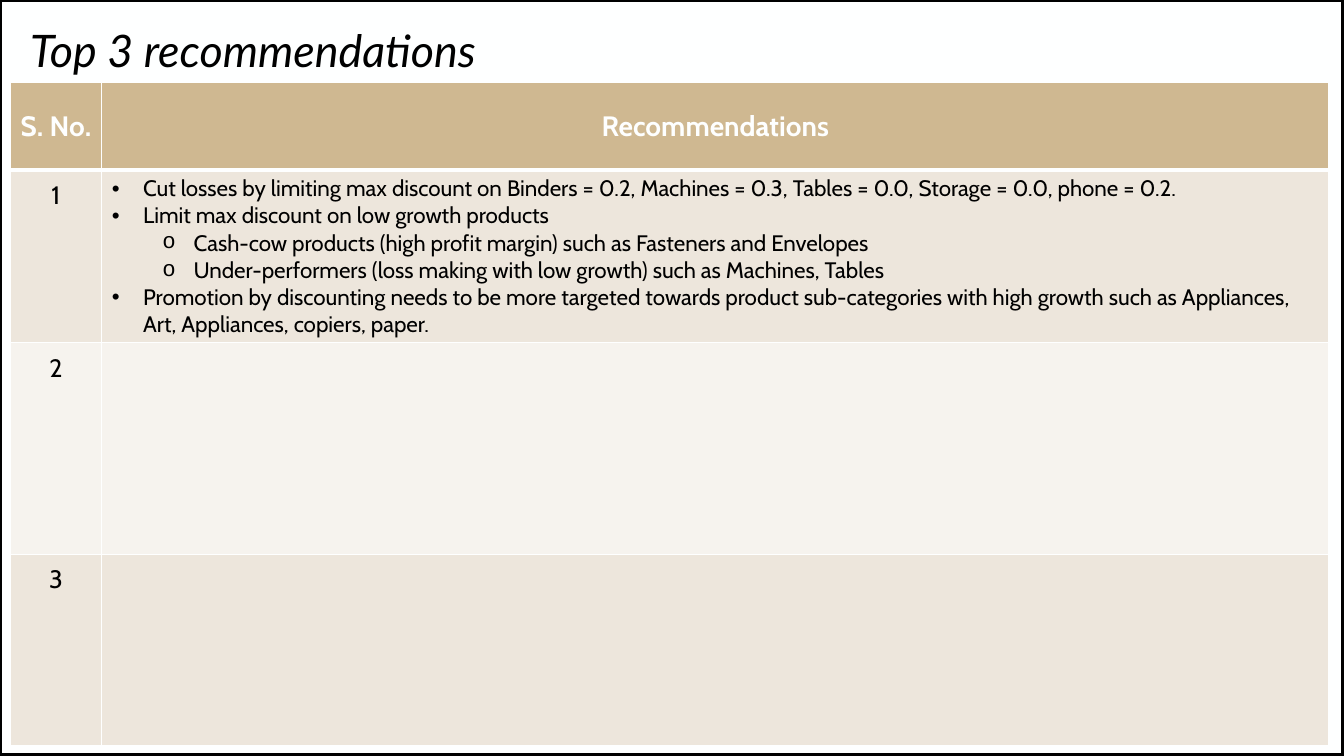
from pptx import Presentation
from pptx.dml.color import RGBColor as RGB
from pptx.enum.shapes import MSO_SHAPE as Shape
from pptx.enum.text import MSO_ANCHOR as Anchor, MSO_AUTO_SIZE as Auto, PP_ALIGN as Align
from pptx.oxml.ns import qn
from pptx.util import Inches, Pt
from lxml.etree import SubElement as Sub

POINTS = [
    (0, "Cut losses by limiting max discount on Binders = 0.2, Machines = 0.3, "
        "Tables = 0.0, Storage = 0.0, phone = 0.2."),
    (0, "Limit max discount on low growth products"),
    (1, "Cash-cow products (high profit margin) such as Fasteners and Envelopes"),
    (1, "Under-performers (loss making with low growth) such as Machines, Tables"),
    (0, "Promotion by discounting needs to be more targeted towards product "
        "sub-categories with high growth such as Appliances, Art, Appliances, "
        "copiers, paper."),
]


def tint(code):
    return RGB.from_string(code)


class Deck:
    """Holds the style and the current slide."""

    white, black, tan = "FEFFFF", "000000", "CFB891"
    bands = ["EDE6DC", "F6F3EE"]
    marks = [("•", "Arial"), ("o", "Courier New")]

    def __init__(self):
        self.prs = Presentation()
        self.prs.slide_width, self.prs.slide_height = Inches(13.33), Inches(7.5)
        self.slide = self.prs.slides.add_slide(self.prs.slide_layouts[5])
        fill = self.slide.background.fill
        fill.solid()
        fill.fore_color.rgb = tint(self.white)

    def style(self, para, size, color, face="Cabin", bold=False, italic=False):
        for run in para.runs:
            font = run.font
            font.name, font.size = face, Pt(size)
            font.bold, font.italic = bold, italic
            font.color.rgb = tint(color)

    def frame(self):
        box = self.slide.shapes.add_shape(
            Shape.RECTANGLE, 0, 0, self.prs.slide_width, self.prs.slide_height)
        box.shadow.inherit = False
        box.fill.background()
        box.line.color.rgb = tint(self.black)
        box.line.width = Pt(3.5)

    def title(self, text, left, top, width, height):
        box = self.slide.shapes.title
        box.left, box.top = Inches(left), Inches(top)
        box.width, box.height = Inches(width), Inches(height)
        body = box.text_frame
        body.text = text
        body.auto_size, body.vertical_anchor = Auto.NONE, Anchor.BOTTOM
        para = body.paragraphs[0]
        para.alignment, para.line_spacing = Align.LEFT, 0.9
        self.style(para, 32, self.black, "Lato", italic=True)

    def table(self, left, top, cols, rows):
        grid = self.slide.shapes.add_table(
            len(rows), len(cols), Inches(left), Inches(top),
            Inches(sum(cols)), Inches(sum(rows))).table
        for col, width in zip(grid.columns, cols):
            col.width = Inches(width)
        for num, (row, height) in enumerate(zip(grid.rows, rows)):
            row.height = Inches(height)
            for cell in row.cells:
                self.edges(cell, 3 if num == 1 else 1, 1 if num else 3)
                cell.fill.solid()
                shade = self.bands[(num - 1) % 2] if num else self.tan
                cell.fill.fore_color.rgb = tint(shade)
        return grid

    def edges(self, cell, top, base):
        props = cell._tc.get_or_add_tcPr()
        for side, width in [("L", 1), ("R", 1), ("T", top), ("B", base)]:
            line = Sub(props, qn("a:ln" + side), w=str(Pt(width)))
            Sub(Sub(line, qn("a:solidFill")), qn("a:srgbClr"), val=self.white)

    def label(self, cell, text, size, color, bold=False, pad=0.1):
        cell.text_frame.text = text
        cell.margin_top = cell.margin_bottom = Inches(pad)
        cell.vertical_anchor = Anchor.MIDDLE if bold else Anchor.TOP
        para = cell.text_frame.paragraphs[0]
        para.alignment = Align.CENTER
        self.style(para, size, color, bold=bold)

    def points(self, cell, items):
        body = cell.text_frame
        body.text = "\n".join(text for _, text in items)
        for para, (level, _) in zip(body.paragraphs, items):
            para.level = level
            props = para._p.get_or_add_pPr()
            props.set("marL", str(Inches(0.31 + 0.5 * level)))
            props.set("indent", str(Inches(-0.31)))
            mark, face = self.marks[level]
            Sub(props, qn("a:buFont"), typeface=face)
            Sub(props, qn("a:buChar"), char=mark)
            self.style(para, 16, self.black)


def main():
    deck = Deck()
    deck.frame()
    deck.title("Top 3 recommendations", 0.2, 0.21, 4.94, 0.61)
    grid = deck.table(0.1, 0.82, [0.91, 12.17], [0.87, 1.7, 2.1, 1.9])
    for col, head in enumerate(["S. No.", "Recommendations"]):
        deck.label(grid.cell(0, col), head, 20, deck.white, True)
    for num in range(1, 4):
        deck.label(grid.cell(num, 0), str(num), 18, deck.black)
    deck.points(grid.cell(1, 1), POINTS)
    deck.prs.save("out.pptx")


if __name__ == "__main__":
    main()
